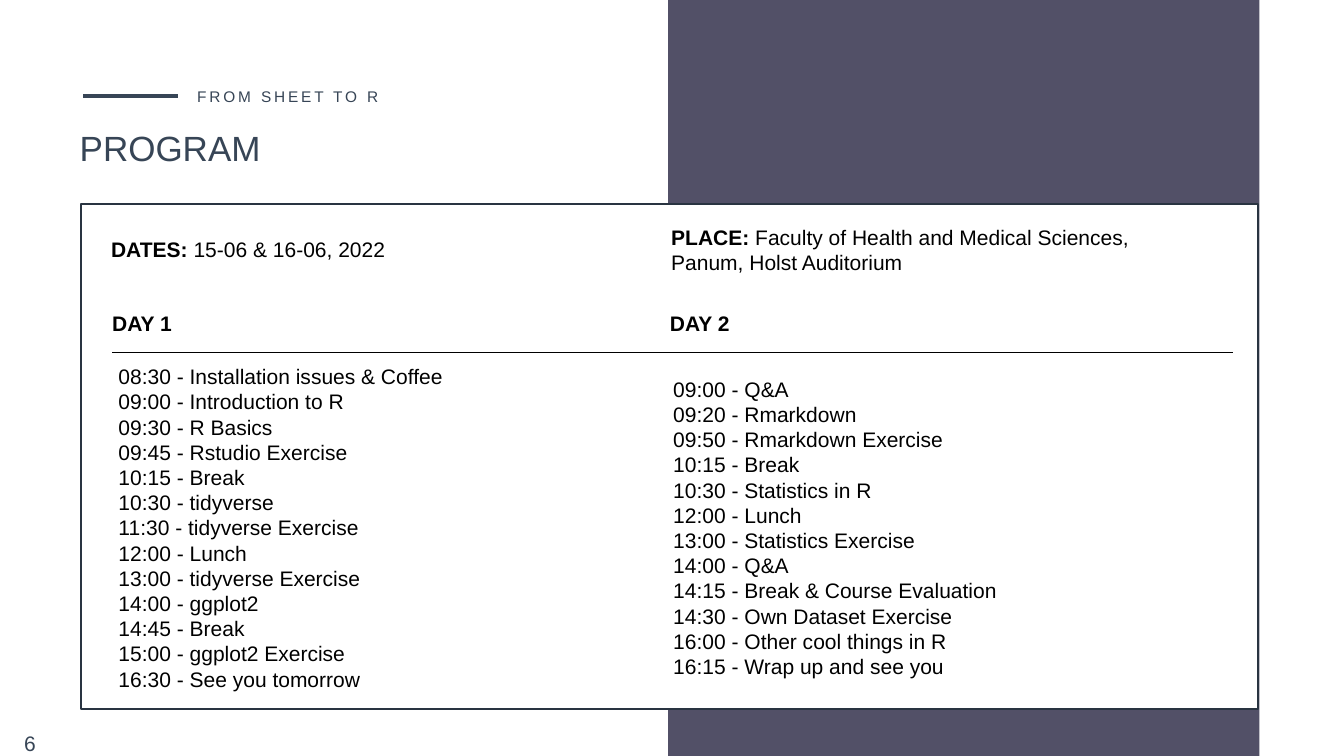
"""Build the course program slide with a two-day schedule."""
from dataclasses import dataclass

import pptx
import pptx.dml.color
import pptx.enum.shapes
import pptx.enum.text
import pptx.oxml.ns
import pptx.util
from lxml import etree

Inches = pptx.util.Inches
FONT = "Arial"
NAVY, BLACK, WHITE, PURPLE, FRAME = "374556", "000000", "FFFFFF", "525067", "293441"
LEFT = pptx.enum.text.PP_ALIGN.LEFT
CENTER = pptx.enum.text.PP_ALIGN.CENTER
TOP = pptx.enum.text.MSO_ANCHOR.TOP
MIDDLE = pptx.enum.text.MSO_ANCHOR.MIDDLE


@dataclass
class Label:
    """A text block: each line is a bold part and a plain part."""
    area: tuple[float, float, float, float]
    lines: list[tuple[str, str]]
    size: float = 30
    color: str = BLACK
    align: int = LEFT
    anchor: int = MIDDLE
    wrap: bool = False
    inset: float = 0.06
    spacing: float = 0


@dataclass
class Day:
    """A day heading with its timed sessions."""
    heading: str
    heading_left: float
    area: tuple[float, float, float, float]
    sessions: list[str]


DAYS = [
    Day("DAY 1", 2.16, (2.29, 7.16, 6.56, 6.61), [
        "08:30 - Installation issues & Coffee", "09:00 - Introduction to R",
        "09:30 - R Basics", "09:45 - Rstudio Exercise", "10:15 - Break",
        "10:30 - tidyverse", "11:30 - tidyverse Exercise", "12:00 - Lunch",
        "13:00 - tidyverse Exercise", "14:00 - ggplot2", "14:45 - Break",
        "15:00 - ggplot2 Exercise", "16:30 - See you tomorrow"]),
    Day("DAY 2", 13.22, (13.29, 7.41, 6.66, 6.11), [
        "09:00 - Q&A", "09:20 - Rmarkdown", "09:50 - Rmarkdown Exercise",
        "10:15 - Break", "10:30 - Statistics in R", "12:00 - Lunch",
        "13:00 - Statistics Exercise", "14:00 - Q&A",
        "14:15 - Break & Course Evaluation", "14:30 - Own Dataset Exercise",
        "16:00 - Other cool things in R", "16:15 - Wrap up and see you"]),
]

TITLE = Label((1.53, 2.46, 10.37, 3.01), [("", "PROGRAM")], 50, NAVY,
              anchor=TOP, wrap=True, inset=0.05)
LABELS = [
    Label((3.86, 1.67, 7.07, 0.48), [("", "FROM SHEET TO R")], 22, NAVY,
          anchor=TOP, wrap=True, inset=0.05, spacing=4.1),
    Label((0.42, 14.45, 0.45, 0.6), [("", "6")], color=NAVY, wrap=True),
    Label((2.14, 4.64, 5.56, 0.61), [("DATES: ", "15-06 & 16-06, 2022")], align=CENTER),
    Label((13.25, 4.39, 10.37, 1.11),
          [("PLACE:", " Faculty of Health and Medical Sciences, Panum, Holst Auditorium")],
          wrap=True),
]


def rgb(color: str) -> pptx.dml.color.RGBColor:
    """Turn a hex string into a colour."""
    return pptx.dml.color.RGBColor.from_string(color)


def fill_text(box, label: Label) -> None:
    """Place a box and write the label in it."""
    box.left, box.top, box.width, box.height = map(Inches, label.area)
    frame = box.text_frame
    frame.auto_size = pptx.enum.text.MSO_AUTO_SIZE.NONE
    frame.word_wrap = label.wrap
    frame.vertical_anchor = label.anchor
    frame.margin_left = frame.margin_right = Inches(label.inset)
    frame.margin_top = frame.margin_bottom = Inches(label.inset)
    for index, parts in enumerate(label.lines):
        para = frame.add_paragraph() if index else frame.paragraphs[0]
        para.alignment = label.align
        para.font.name = FONT
        para.font.size = pptx.util.Pt(label.size)
        para.font.color.rgb = rgb(label.color)
        for text, bold in zip(parts, (True, False)):
            if text:
                span = para.add_run()
                span.text = text
                span.font.bold = bold
                if label.spacing:
                    span._r.get_or_add_rPr().set("spc", str(round(label.spacing * 100)))


def add_label(page, label: Label) -> None:
    """Add a text box for a label."""
    fill_text(page.shapes.add_textbox(*map(Inches, label.area)), label)


def add_block(page, area: tuple[float, float, float, float], fill: str, line: str = "") -> None:
    """Add a filled rectangle with an optional outline."""
    block = page.shapes.add_shape(
        pptx.enum.shapes.MSO_SHAPE.RECTANGLE, *map(Inches, area))
    block.shadow.inherit = False
    block.fill.solid()
    block.fill.fore_color.rgb = rgb(fill)
    if line:
        block.line.color.rgb = rgb(line)
        block.line.width = pptx.util.Pt(3)
    else:
        block.line.fill.background()


def add_rule(page, left: float, right: float, top: float, color: str, width: float) -> None:
    """Add a horizontal line."""
    rule = page.shapes.add_connector(
        pptx.enum.shapes.MSO_CONNECTOR.STRAIGHT,
        Inches(left), Inches(top), Inches(right), Inches(top))
    rule.line.color.rgb = rgb(color)
    rule.line.width = pptx.util.Pt(width)
    etree.SubElement(rule._element.spPr, pptx.oxml.ns.qn("a:effectLst"))


def main() -> None:
    """Build and save the deck."""
    deck = pptx.Presentation()
    deck.slide_width, deck.slide_height = Inches(26.65), Inches(15)
    page = deck.slides.add_slide(deck.slide_layouts[5])
    fill_text(page.shapes.title, TITLE)
    add_block(page, (13.25, 0, 11.72, 15), PURPLE)
    add_rule(page, 1.65, 3.52, 1.91, NAVY, 6)
    add_block(page, (1.6, 4.04, 23.34, 10.03), WHITE, FRAME)
    for label in LABELS:
        add_label(page, label)
    for day in DAYS:
        add_label(page, Label((day.heading_left, 6.11, 1.31, 0.61),
                              [(day.heading, "")], align=CENTER))
        add_label(page, Label(day.area, [("", session) for session in day.sessions]))
    add_rule(page, 2.23, 24.44, 7, BLACK, 1)
    deck.save("out.pptx")


if __name__ == "__main__":
    main()
